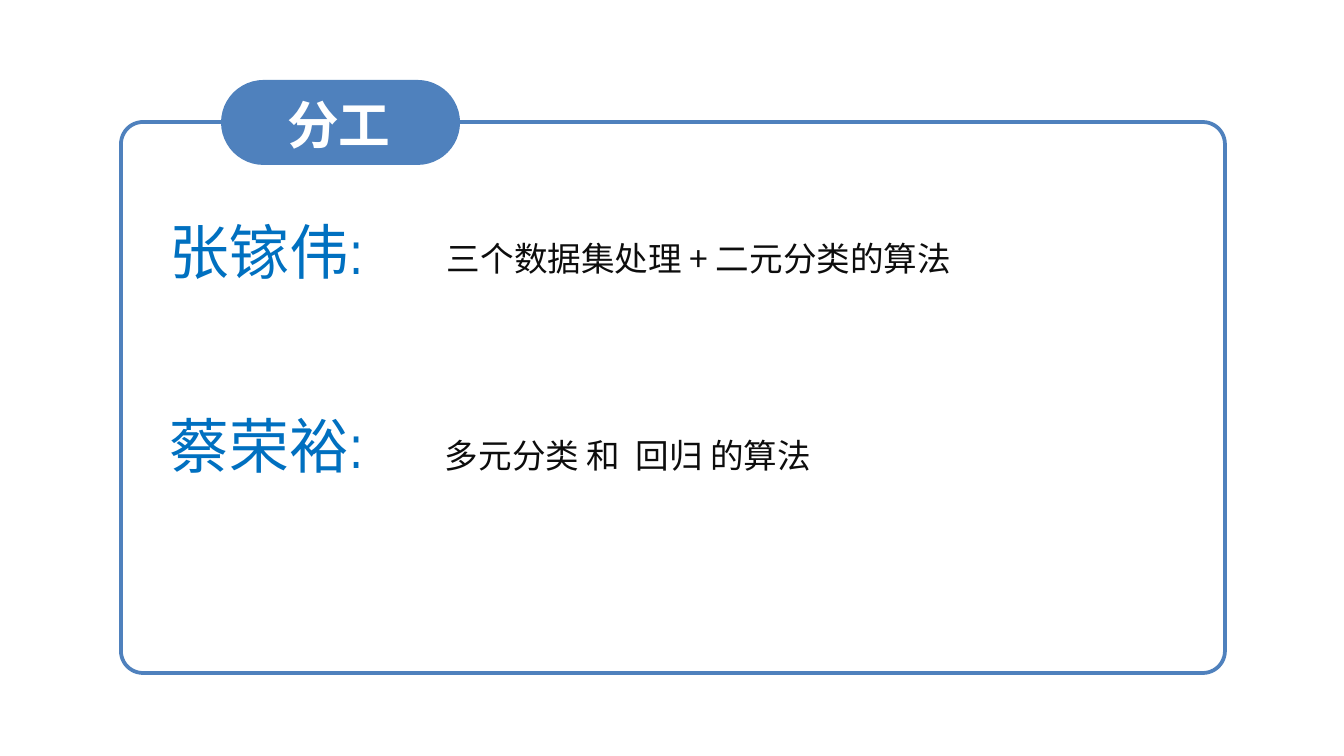
from pptx import Presentation
from pptx.dml.color import RGBColor
from pptx.enum.shapes import MSO_SHAPE
from pptx.enum.text import MSO_ANCHOR, PP_ALIGN
from pptx.oxml.ns import qn
from pptx.util import Emu, Pt
from lxml import etree

ROUNDED = MSO_SHAPE.ROUNDED_RECTANGLE
LEFT, CENTER, JUSTIFY = PP_ALIGN.LEFT, PP_ALIGN.CENTER, PP_ALIGN.JUSTIFY
TOP, MIDDLE = MSO_ANCHOR.TOP, MSO_ANCHOR.MIDDLE

FRAME_BLUE = RGBColor(0x4F, 0x81, 0xBD)
NAME_BLUE = RGBColor(0x00, 0x70, 0xC0)
TEXT_BLACK = RGBColor(0x0D, 0x0D, 0x0D)
WHITE = RGBColor(0xFF, 0xFF, 0xFF)
CJK_FONT = "Noto Sans CJK SC"
NAME_FONT = "Arial Narrow"

# Content: name, top of name, task, left and top of task
TITLE = "分工"
MEMBERS = [
    ("张镓伟:", 208, "三个数据集处理 + 二元分类的算法", 439, 214),
    ("蔡荣裕:", 402, "多元分类 和  回归 的算法", 437, 411),
]


def px(value):
    return Emu(round(value * 914400 / 134.4))


def add_rounded(slide, left, top, width, height, corner):
    shape = slide.shapes.add_shape(ROUNDED, px(left), px(top), px(width), px(height))
    shape.adjustments[0] = corner
    shape.shadow.inherit = False
    return shape


def add_text(slide, box, text, size, font_name, color, align, margins,
             anchor=TOP, bold=False, line_spacing=None):
    shape = slide.shapes.add_textbox(*map(px, box))
    frame = shape.text_frame
    frame.word_wrap = True
    frame.vertical_anchor = anchor
    frame.margin_left = frame.margin_right = px(margins[0])
    frame.margin_top = frame.margin_bottom = px(margins[1])
    paragraph = frame.paragraphs[0]
    paragraph.text = text
    paragraph.alignment = align
    paragraph.line_spacing = line_spacing
    font = paragraph.font
    font.size, font.name, font.bold = Pt(size), font_name, bold
    font.color.rgb = color
    # East Asian typeface for the Chinese characters
    properties = paragraph._p.pPr.find(qn("a:defRPr"))
    etree.SubElement(properties, qn("a:ea")).set("typeface", CJK_FONT)


presentation = Presentation()
presentation.slide_width, presentation.slide_height = px(1344), px(756)
slide = presentation.slides.add_slide(presentation.slide_layouts[6])

# Frame
frame_shape = add_rounded(slide, 121, 122, 1104, 551, 0.04)
frame_shape.fill.background()
frame_shape.line.color.rgb = FRAME_BLUE
frame_shape.line.width = Pt(2)

# Title pill
pill = add_rounded(slide, 221, 80, 239, 85, 0.5)
pill.fill.solid()
pill.fill.fore_color.rgb = FRAME_BLUE
pill.line.fill.background()
add_text(slide, (257, 97, 164, 54), TITLE, 27.7, CJK_FONT, WHITE, CENTER,
         (0, 0), anchor=MIDDLE, bold=True)

# Members and their tasks
for name, name_top, task, task_left, task_top in MEMBERS:
    add_text(slide, (155, name_top, 265, 86), name, 32, NAME_FONT, NAME_BLUE,
             LEFT, (15, 7))
    add_text(slide, (task_left, task_top, 663, 65), task, 18, CJK_FONT,
             TEXT_BLACK, JUSTIFY, (8, 4), line_spacing=1.5)

presentation.save("out.pptx")
